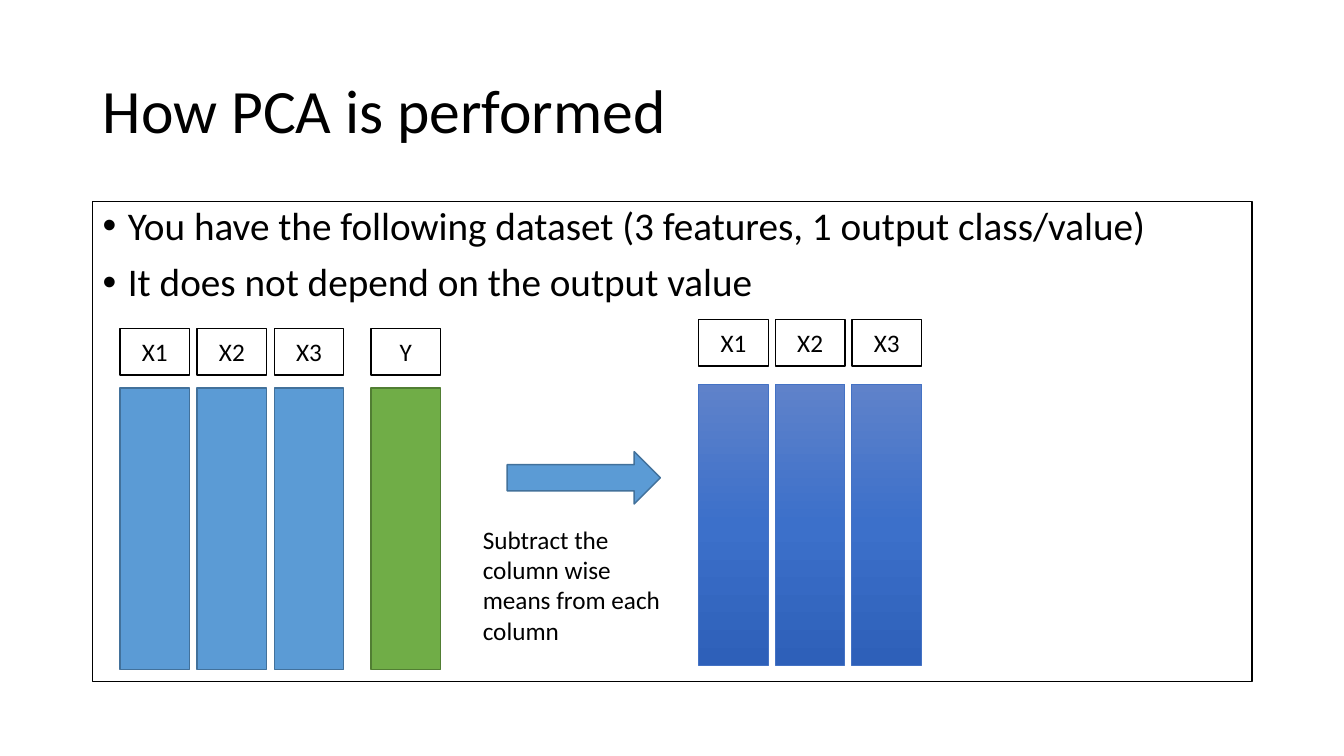
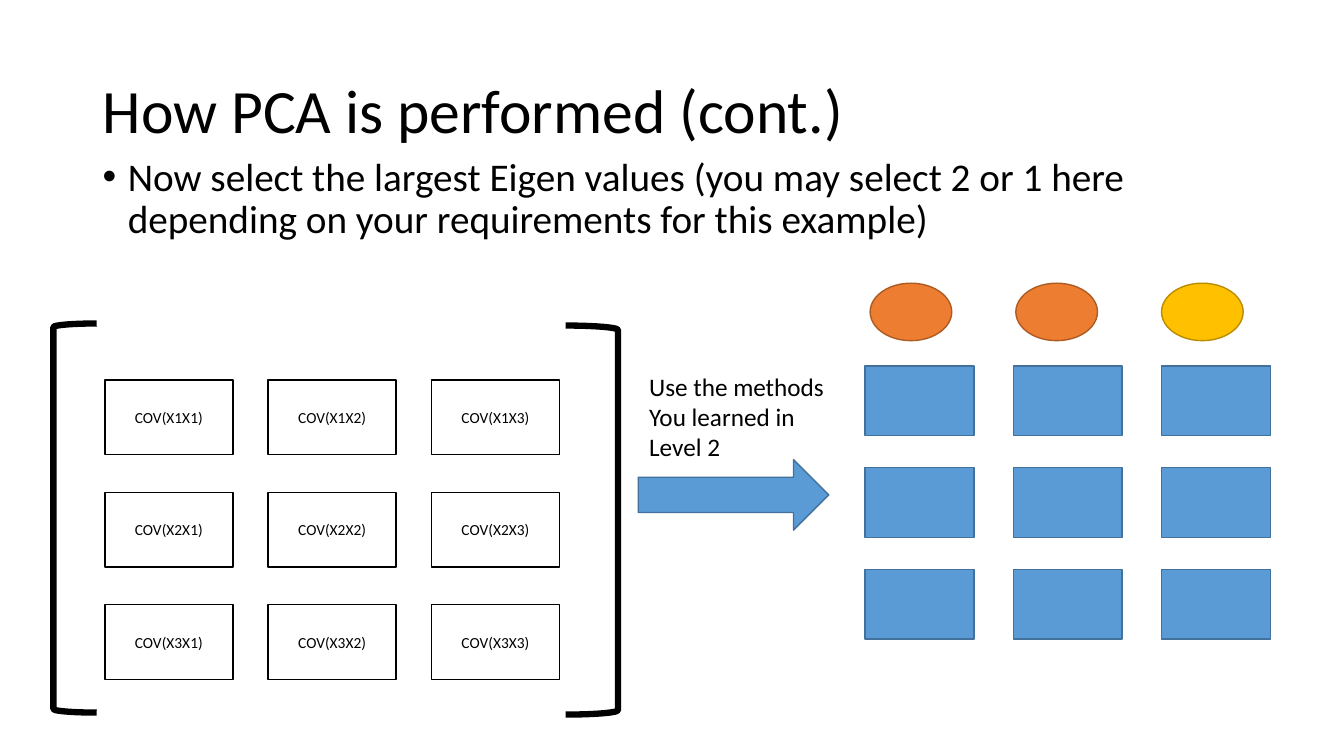
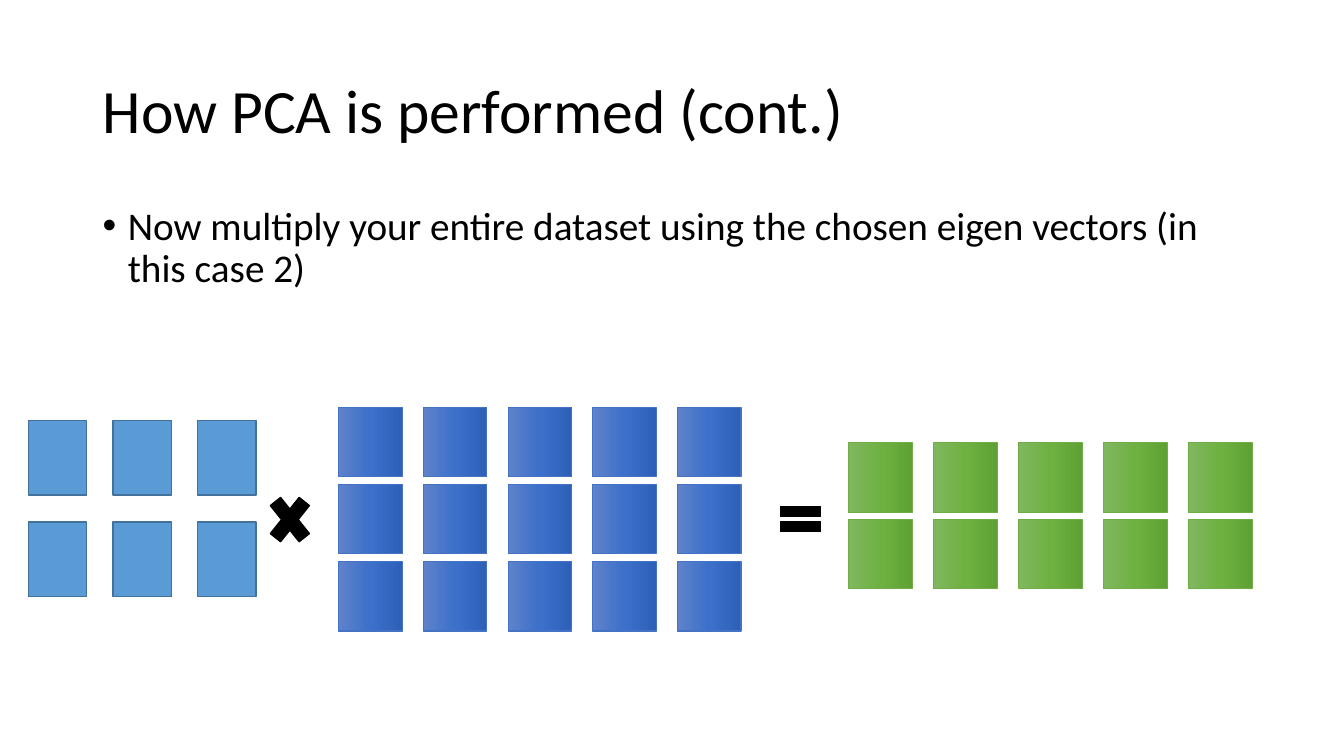
import pptx
import copy
import lxml.etree
import pptx.util
import pptx.dml.color
import pptx.enum.shapes
import pptx.enum.text
import pptx.oxml.ns

Inches, Pt = pptx.util.Inches, pptx.util.Pt
KIND = pptx.enum.shapes.MSO_SHAPE
ALIGN = pptx.enum.text.PP_ALIGN
ANCHOR = pptx.enum.text.MSO_ANCHOR
FIT = pptx.enum.text.MSO_AUTO_SIZE
qn = pptx.oxml.ns.qn


class Theme:
    font, ink = "Calibri", "000000"
    title, body, note, cell = 44, 28, 18, 11
    # look: fill (None, one colour or gradient stops), line colour, line width
    box = ("FFFFFF", ink, 1)
    blue = ("5B9BD5", "42719B", 1)
    green = ("70AD47", "517E33", 1)
    orange = ("ED7D31", "AC5B23", 1)
    gold = ("FFC000", "BA8C00", 1)
    black = (ink, ink, 1)
    brace = (None, ink, 4.5)
    deep = (("5F82CA", "3C70CA", "2E60B9"), "4472C4", 0.75)
    leaf = (("7FB75F", "6EB141", "5FA134"), "70AD47", 0.75)


FIRST = "How PCA is performed"
NEXT = "How PCA is performed (cont.)"
DATA = ["You have the following dataset (3 features, 1 output class/value)",
        "It does not depend on the output value"]
SELECT = ["Now select the largest Eigen values (you may select 2 or 1 here "
          "depending on your requirements for this example)"]
PRODUCT = ["Now multiply your entire dataset using the chosen eigen vectors "
           "(in this case 2)"]
MEANS = ["Subtract the column wise", "means from each column"]
METHODS = ["Use the methods", "You learned in", "Level 2"]
NAMES = ["X1", "X2", "X3"]
COVS = [f"COV({a}{b})" for a in NAMES for b in NAMES]
EIGEN = [Theme.orange, Theme.orange, Theme.gold]


def rgb(code):
    return pptx.dml.color.RGBColor.from_string(code)


def spread(first, last, count):
    """Evenly spaced positions from first to last."""
    return [first + (last - first) * i / (count - 1) for i in range(count)]


def write(frame, lines, size, align=ALIGN.LEFT):
    frame.word_wrap = True
    for i, line in enumerate(lines):
        para = frame.paragraphs[0] if i == 0 else frame.add_paragraph()
        para.alignment = align
        run = para.add_run()
        run.text = line
        run.font.name, run.font.size = Theme.font, Pt(size)
        run.font.color.rgb = rgb(Theme.ink)


def paint(shape, look):
    fill, edge, width = look
    if fill is None:
        shape.fill.background()
    elif isinstance(fill, tuple):
        shape.fill.gradient()
        shape.fill.gradient_angle = 270
        stops = next(shape.element.iter(qn("a:gsLst")))
        stops.insert(1, copy.deepcopy(stops[0]))
        for stop, code, pos in zip(shape.fill.gradient_stops, fill, (0, 0.5, 1)):
            stop.color.rgb, stop.position = rgb(code), pos
    else:
        shape.fill.solid()
        shape.fill.fore_color.rgb = rgb(fill)
    shape.line.color.rgb = rgb(edge)
    shape.line.width = Pt(width)


def draw(host, kind, at, look, label=None, size=Theme.note, turn=0):
    shape = host.add_shape(kind, *map(Inches, at))
    shape.shadow.inherit = False
    shape.rotation = turn
    paint(shape, look)
    if label:
        write(shape.text_frame, [label], size, ALIGN.CENTER)


def grid(host, lefts, tops, size, look, labels=(), font=Theme.note, turn=0):
    """Equal rectangles, row by row, with optional labels."""
    spots = [(x, y) for y in tops for x in lefts]
    for i, spot in enumerate(spots):
        label = labels[i] if labels else None
        draw(host, KIND.RECTANGLE, spot + size, look, label, font, turn)


def note(host, at, lines):
    box = host.add_textbox(*map(Inches, at))
    write(box.text_frame, lines, Theme.note)
    box.text_frame.auto_size = FIT.SHAPE_TO_FIT_TEXT


def page(deck, title, points, top=2, look=None):
    """New slide with title and bullets; returns its shapes."""
    host = deck.slides.add_slide(deck.slide_layouts[6]).shapes
    head = host.add_textbox(*map(Inches, (0.92, 0.4, 11.5, 1.45))).text_frame
    head.vertical_anchor = ANCHOR.MIDDLE
    write(head, [title], Theme.title)
    head.paragraphs[0].line_spacing = 0.9

    body = host.add_textbox(*map(Inches, (0.92, top, 11.5, 6.76 - top)))
    if look:
        paint(body, look)
    write(body.text_frame, points, Theme.body)
    for i, para in enumerate(body.text_frame.paragraphs):
        para.line_spacing = 0.9
        para.space_before = Pt(10 if i else 0)
        props = para._p.get_or_add_pPr()
        props.set("marL", str(Inches(0.25)))
        props.set("indent", str(-Inches(0.25)))
        for tag, key, value in (("a:buFont", "typeface", "Arial"),
                                ("a:buChar", "char", "•")):
            lxml.etree.SubElement(props, qn(tag)).set(key, value)
    return host


def center(deck):
    host = page(deck, FIRST, DATA, look=Theme.box)
    bar, tag = (0.69, 2.79), (0.69, 0.46)
    for lefts, top, head, look, names in (
            (spread(1.19, 2.72, 3), 3.85, 3.26, Theme.blue, NAMES),
            ([3.68], 3.85, 3.26, Theme.green, ["Y"]),
            (spread(6.93, 8.45, 3), 3.81, 3.17, Theme.deep, NAMES)):
        grid(host, lefts, [top], bar, look)
        grid(host, lefts, [head], tag, Theme.box, names)
    draw(host, KIND.RIGHT_ARROW, (5.03, 4.48, 1.52, 0.52), Theme.blue)
    note(host, (4.69, 5.15, 1.98, 1.31), MEANS)


def select(deck):
    host = page(deck, NEXT, SELECT, top=1.51)
    matrix = host.add_group_shape().shapes
    grid(matrix, spread(1.04, 4.28, 3), spread(3.77, 6, 3), (1.27, 0.74),
         Theme.box, COVS, Theme.cell)
    draw(matrix, KIND.LEFT_BRACKET, (0.53, 3.21, 0.43, 3.86), Theme.brace)
    draw(matrix, KIND.RIGHT_BRACKET, (5.61, 3.23, 0.52, 3.86), Theme.brace)
    draw(host, KIND.RIGHT_ARROW, (6.33, 4.56, 1.89, 0.7), Theme.blue)
    note(host, (6.34, 3.63, 1.96, 1.01), METHODS)
    grid(host, spread(8.58, 11.52, 3), spread(3.63, 5.65, 3), (1.08, 0.69),
         Theme.blue)
    for left, look in zip(spread(8.63, 11.52, 3), EIGEN):
        draw(host, KIND.OVAL, (left, 2.81, 0.81, 0.57), look)


def multiply(deck):
    host = page(deck, NEXT, PRODUCT)
    vectors = host.add_group_shape().shapes
    tile = (0.69, 0.63)
    grid(vectors, spread(0.2, 1.88, 3), [4.25, 5.26], (0.74, 0.58),
         Theme.blue, turn=270)
    draw(host, KIND.MATH_MULTIPLY, (2.6, 4.81, 0.55, 0.69), Theme.black)
    grid(host, spread(3.33, 6.69, 5), spread(4.07, 5.6, 3), tile,
         Theme.deep, turn=270)
    draw(host, KIND.MATH_EQUAL, (7.67, 4.94, 0.54, 0.42), Theme.black)
    grid(host, spread(8.39, 11.76, 5), [4.42, 5.18], tile,
         Theme.leaf, turn=270)


def main():
    deck = pptx.Presentation()
    deck.slide_width, deck.slide_height = Inches(13.33), Inches(7.5)
    for build in (center, select, multiply):
        build(deck)
    deck.save("out.pptx")


if __name__ == "__main__":
    main()
